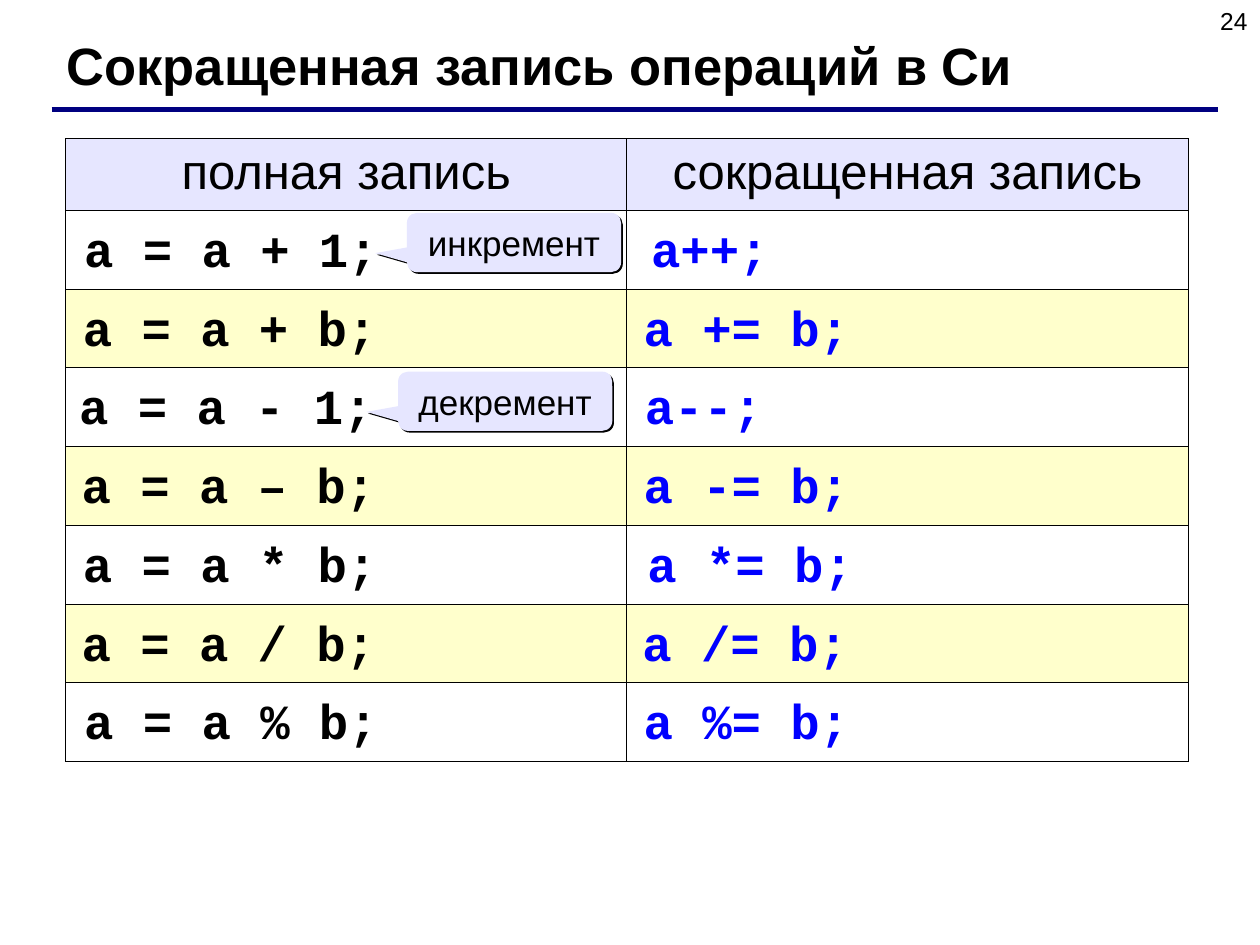
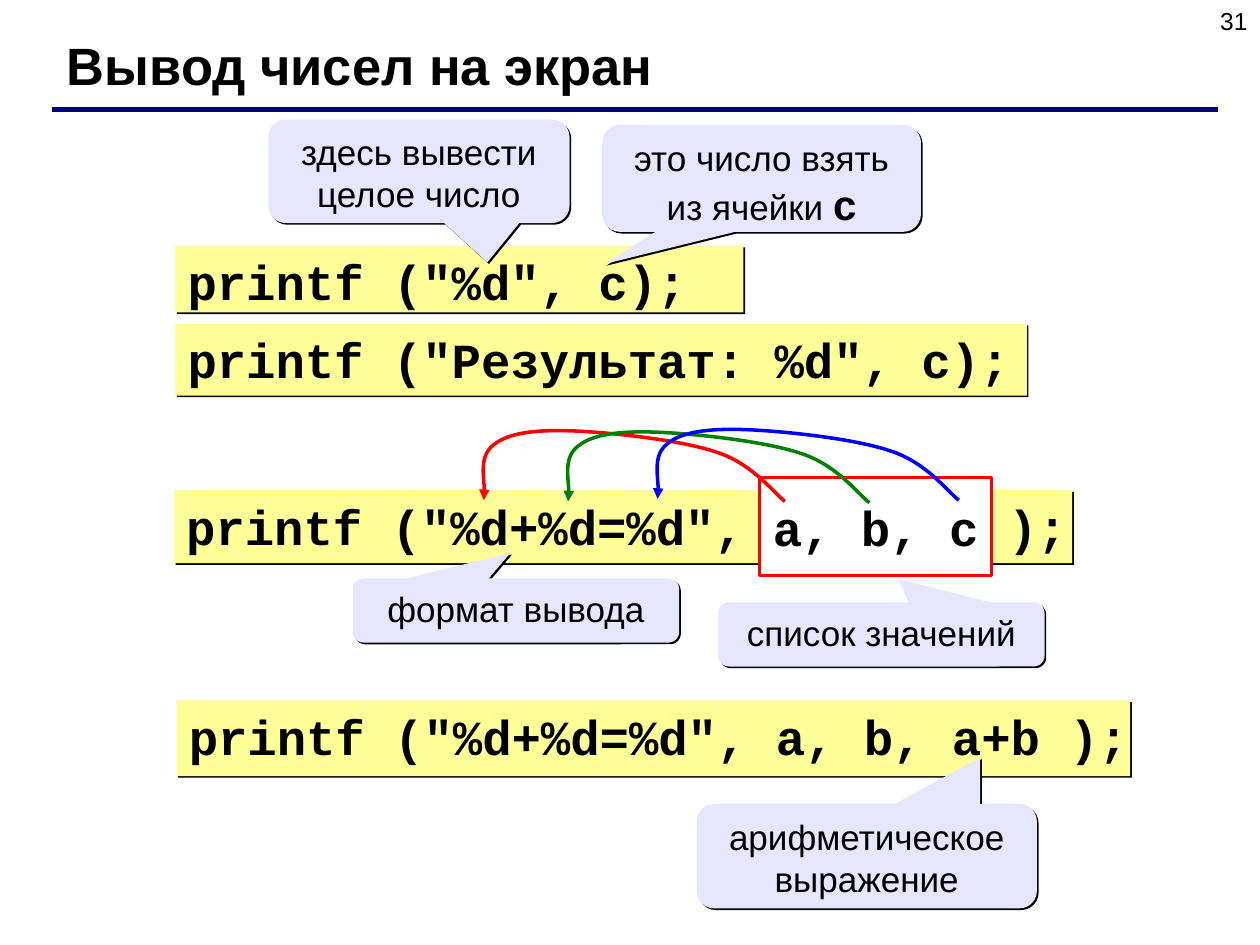
from dataclasses import dataclass

from lxml.etree import SubElement
from pptx import Presentation
from pptx.dml.color import RGBColor
from pptx.enum.shapes import MSO_CONNECTOR, MSO_SHAPE
from pptx.enum.text import MSO_ANCHOR, MSO_AUTO_SIZE, PP_ALIGN
from pptx.oxml.ns import qn
from pptx.util import Inches, Pt


@dataclass(frozen=True)
class Theme:
    sans: str = "Arial"
    mono: str = "Courier New"
    black: str = "000000"
    white: str = "FFFFFF"
    navy: str = "000080"
    red: str = "FF0000"
    green: str = "008000"
    blue: str = "0000FF"
    lavender: str = "E6E6FF"
    cream: str = "FFFFCC"
    yellow: str = "FFFF99"
    title_size: int = 30
    code_size: int = 28
    cell_size: int = 24
    note_size: int = 20
    number_size: int = 14


T = Theme()

# full form, its left edge, short form, its left edge
OPERATIONS = [
    ("a = a + 1;", 0.57, "a++;", 5.07),
    ("a = a + b;", 0.56, "a += b;", 5.01),
    ("a = a - 1;", 0.53, "a--;", 5.02),
    ("a = a – b;", 0.55, "a -= b;", 5.01),
    ("a = a * b;", 0.56, "a *= b;", 5.04),
    ("a = a / b;", 0.55, "a /= b;", 5.0),
    ("a = a % b;", 0.57, "a %= b;", 5.01),
]

# start point of a value arrow, then three Bezier points for each curve
ARROW_CURVE = [
    (6.23, 3.98),
    (6.14, 3.91), (5.97, 3.68), (5.69, 3.59),
    (5.40, 3.49), (4.82, 3.43), (4.53, 3.42),
    (4.23, 3.41), (4.03, 3.44), (3.92, 3.53),
    (3.80, 3.62), (3.86, 3.88), (3.84, 3.97),
]


def rgb(color):
    return RGBColor.from_string(color)


def box(left, top, width, height):
    return [Inches(v) for v in (left, top, width, height)]


def add_run(p, text, size, color=T.black, font=T.sans, bold=False):
    r = p.add_run()
    r.text = text
    r.font.size = Pt(size)
    r.font.name = font
    r.font.bold = bold
    r.font.color.rgb = rgb(color)


def prepare_frame(sp, align=PP_ALIGN.LEFT, anchor=MSO_ANCHOR.TOP, wrap=True):
    """Set the text frame's layout and return its first paragraph."""
    tf = sp.text_frame
    tf.word_wrap = wrap
    tf.auto_size = MSO_AUTO_SIZE.NONE
    tf.vertical_anchor = anchor
    p = tf.paragraphs[0]
    p.alignment = align
    return p


def add_code_run(p, text, color=T.black):
    add_run(p, text, T.code_size, color, T.mono, bold=True)


def add_hard_shadow(sp):
    """Add a sharp black shadow, offset to the lower right."""
    effects = sp.element.spPr.find(qn("a:effectLst"))
    shadow = SubElement(effects, qn("a:outerShdw"), blurRad="0",
                        dist=str(Pt(1.4)), dir="2700000", algn="ctr",
                        rotWithShape="0")
    SubElement(shadow, qn("a:srgbClr"), val=T.black)


def add_filled_shape(s, kind, place, fill):
    sp = s.shapes.add_shape(kind, *box(*place))
    sp.shadow.inherit = False
    sp.fill.solid()
    sp.fill.fore_color.rgb = rgb(fill)
    sp.line.fill.background()
    return sp


def add_callout(s, text, place, tip, anchor=MSO_ANCHOR.TOP):
    """Add a callout; tip is the pointer's offset from the centre, in box sizes."""
    sp = add_filled_shape(s, MSO_SHAPE.ROUNDED_RECTANGULAR_CALLOUT, place,
                          T.lavender)
    for i, value in enumerate((*tip, 0.167)):
        sp.adjustments[i] = value
    add_hard_shadow(sp)
    p = prepare_frame(sp, PP_ALIGN.CENTER, anchor)
    add_run(p, text, T.note_size)
    return p


def add_code_bar(s, code, place):
    sp = add_filled_shape(s, MSO_SHAPE.RECTANGLE, place, T.yellow)
    add_hard_shadow(sp)
    add_code_run(prepare_frame(sp, wrap=False), code)


def add_value_frame(s, code, place):
    sp = add_filled_shape(s, MSO_SHAPE.RECTANGLE, place, T.white)
    sp.line.color.rgb = rgb(T.red)
    sp.line.width = Pt(1.5)
    p = prepare_frame(sp, PP_ALIGN.CENTER, MSO_ANCHOR.MIDDLE, wrap=False)
    add_code_run(p, code)


def add_code_text(s, code, place, color):
    sp = s.shapes.add_textbox(*box(*place))
    add_code_run(prepare_frame(sp, wrap=False), code, color)


def add_value_arrow(s, dx, dy, color):
    """Draw the shifted arrow curve from a value to its format code."""
    points = [(Inches(x + dx), Inches(y + dy)) for x, y in ARROW_CURVE]
    builder = s.shapes.build_freeform(*points[0])
    builder.add_line_segments(points[1:], close=False)
    sp = builder.convert_to_shape()
    outline = sp.element.spPr.find(".//" + qn("a:path"))
    segments = outline.findall(qn("a:lnTo"))
    for i in range(0, len(segments), 3):
        curve = SubElement(outline, qn("a:cubicBezTo"))
        for segment in segments[i:i + 3]:
            curve.append(segment[0])
            outline.remove(segment)
    sp.shadow.inherit = False
    sp.fill.background()
    sp.line.color.rgb = rgb(color)
    sp.line.width = Pt(2)
    SubElement(sp.line._get_or_add_ln(), qn("a:tailEnd"), type="triangle")


def set_cell_borders(cell):
    tc_pr = cell._tc.get_or_add_tcPr()
    for i, side in enumerate(("a:lnL", "a:lnR", "a:lnT", "a:lnB")):
        ln = tc_pr.makeelement(qn(side), {"w": str(Pt(0.45))})
        fill = SubElement(ln, qn("a:solidFill"))
        SubElement(fill, qn("a:srgbClr"), val=T.black)
        tc_pr.insert(i, ln)


def add_operations_table(s, headers):
    rows = len(OPERATIONS) + 1
    frame = s.shapes.add_table(rows, 2, *box(0.52, 1.1, 8.91, 4.94))
    table = frame.table
    table.first_row = table.horz_banding = False
    for i, row in enumerate(table.rows):
        row.height = Inches(0.57 if i == 0 else 0.625)
        if i == 0:
            fill = T.lavender
        else:
            fill = T.white if i % 2 else T.cream
        for cell in row.cells:
            cell.fill.solid()
            cell.fill.fore_color.rgb = rgb(fill)
            set_cell_borders(cell)
    for cell, text in zip(table.rows[0].cells, headers):
        p = cell.text_frame.paragraphs[0]
        p.alignment = PP_ALIGN.CENTER
        add_run(p, text, T.code_size)


def add_slide(prs, title, number):
    """Add a slide with its number, rule and title."""
    s = prs.slides.add_slide(prs.slide_layouts[5])
    sp = s.shapes.add_textbox(*box(7.67, 0, 2.33, 0.52))
    add_run(prepare_frame(sp, PP_ALIGN.RIGHT), number, T.number_size)

    rule = s.shapes.add_connector(MSO_CONNECTOR.STRAIGHT, Inches(0.41),
                                  Inches(0.87), Inches(9.67), Inches(0.87))
    rule.line.color.rgb = rgb(T.navy)
    rule.line.width = Pt(3)
    SubElement(rule.element.spPr, qn("a:effectLst"))

    sp = s.shapes.title
    sp.left, sp.top, sp.width, sp.height = box(0.43, 0.21, 8.9, 0.6)
    add_run(prepare_frame(sp), title, T.title_size, bold=True)
    return s


def build_short_forms(prs):
    s = add_slide(prs, "Сокращенная запись операций в Си", "24")
    add_operations_table(s, ("полная запись", "сокращенная запись"))
    for text, left, top in (("инкремент", 3.23, 1.69),
                            ("декремент", 3.16, 2.95)):
        add_callout(s, text, (left, top, 1.7, 0.47), (-0.648, 0.18),
                    MSO_ANCHOR.MIDDLE)
    for i, (full, full_left, short, short_left) in enumerate(OPERATIONS):
        top = 1.685 + 0.625 * i
        add_code_text(s, full, (full_left, top, 2.53, 0.57), T.black)
        short_width = 1.13 if len(short) == 4 else 1.83
        add_code_text(s, short, (short_left, top, short_width, 0.57), T.blue)


def build_number_output(prs):
    s = add_slide(prs, "Вывод чисел на экран", "31")
    add_code_bar(s, 'printf ("%d", c);', (1.39, 1.95, 4.51, 0.53))
    add_callout(s, "здесь вывести целое число", (2.13, 0.95, 2.39, 0.82),
                (0.227, 0.881))
    p = add_callout(s, "это число взять из ячейки ", (4.78, 0.99, 2.53, 0.85),
                    (-0.492, 0.8))
    add_run(p, "c", T.cell_size, bold=True)
    add_code_bar(s, 'printf ("Результат: %d", c);', (1.39, 2.57, 6.76, 0.57))

    add_code_bar(s, 'printf ("%d+%d=%d", a, b, c );', (1.38, 3.89, 7.13, 0.58))
    add_callout(s, "формат вывода", (2.8, 4.59, 2.59, 0.51), (-0.017, -0.897))
    add_callout(s, "список значений", (5.7, 4.78, 2.59, 0.51), (0.053, -0.859))
    add_value_frame(s, "a, b, c", (6.03, 3.79, 1.84, 0.78))
    for dx, dy, color in ((0, 0, T.red), (0.67, 0.01, T.green),
                          (1.38, -0.01, T.blue)):
        add_value_arrow(s, dx, dy, color)

    add_code_bar(s, 'printf ("%d+%d=%d", a, b, a+b );', (1.4, 5.56, 7.57, 0.6))
    add_callout(s, "арифметическое выражение", (5.53, 6.38, 2.7, 0.83),
                (0.333, -0.943))


def main():
    prs = Presentation()
    prs.slide_width, prs.slide_height = Inches(10), Inches(7.5)
    build_short_forms(prs)
    build_number_output(prs)
    prs.save("out.pptx")


if __name__ == "__main__":
    main()
